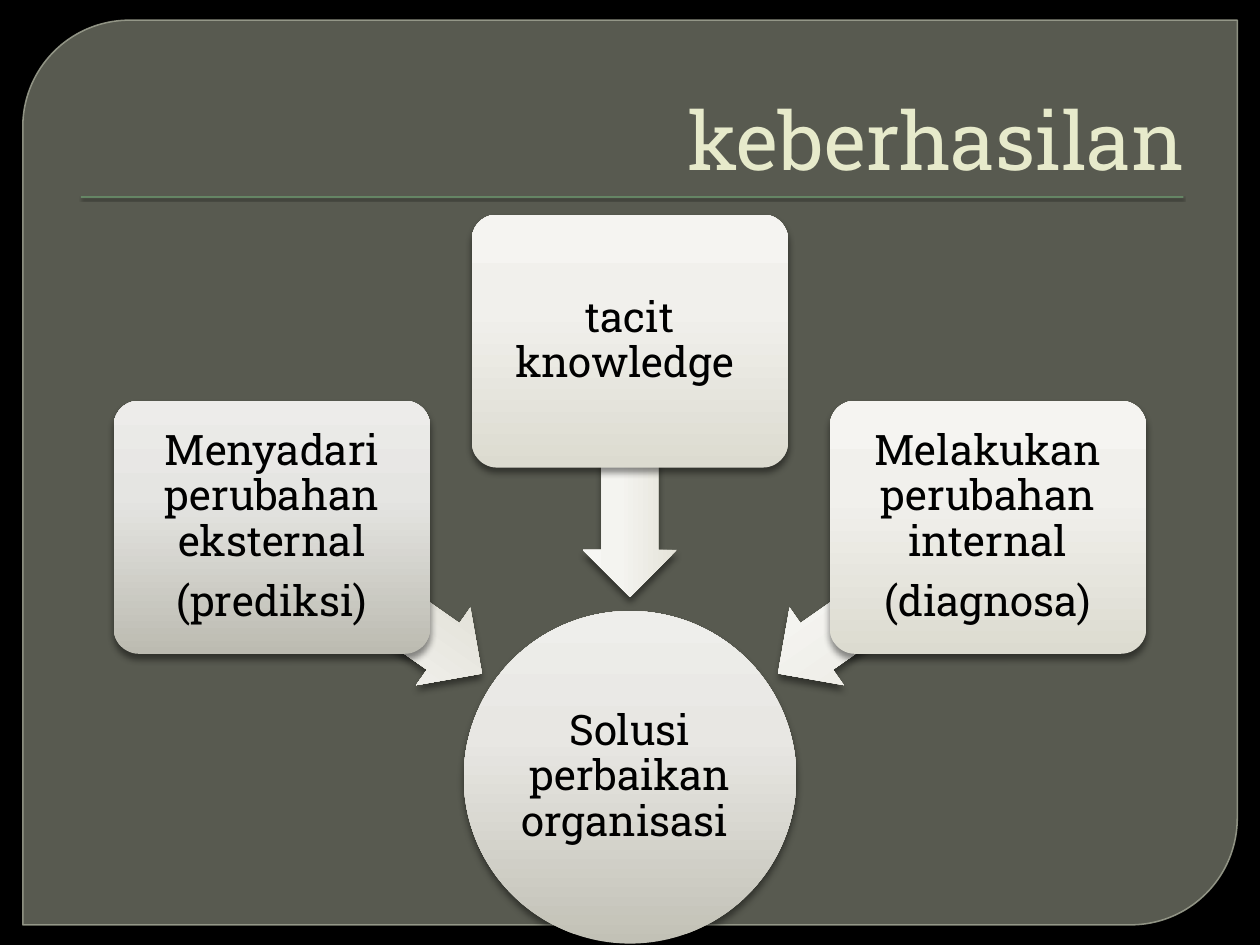
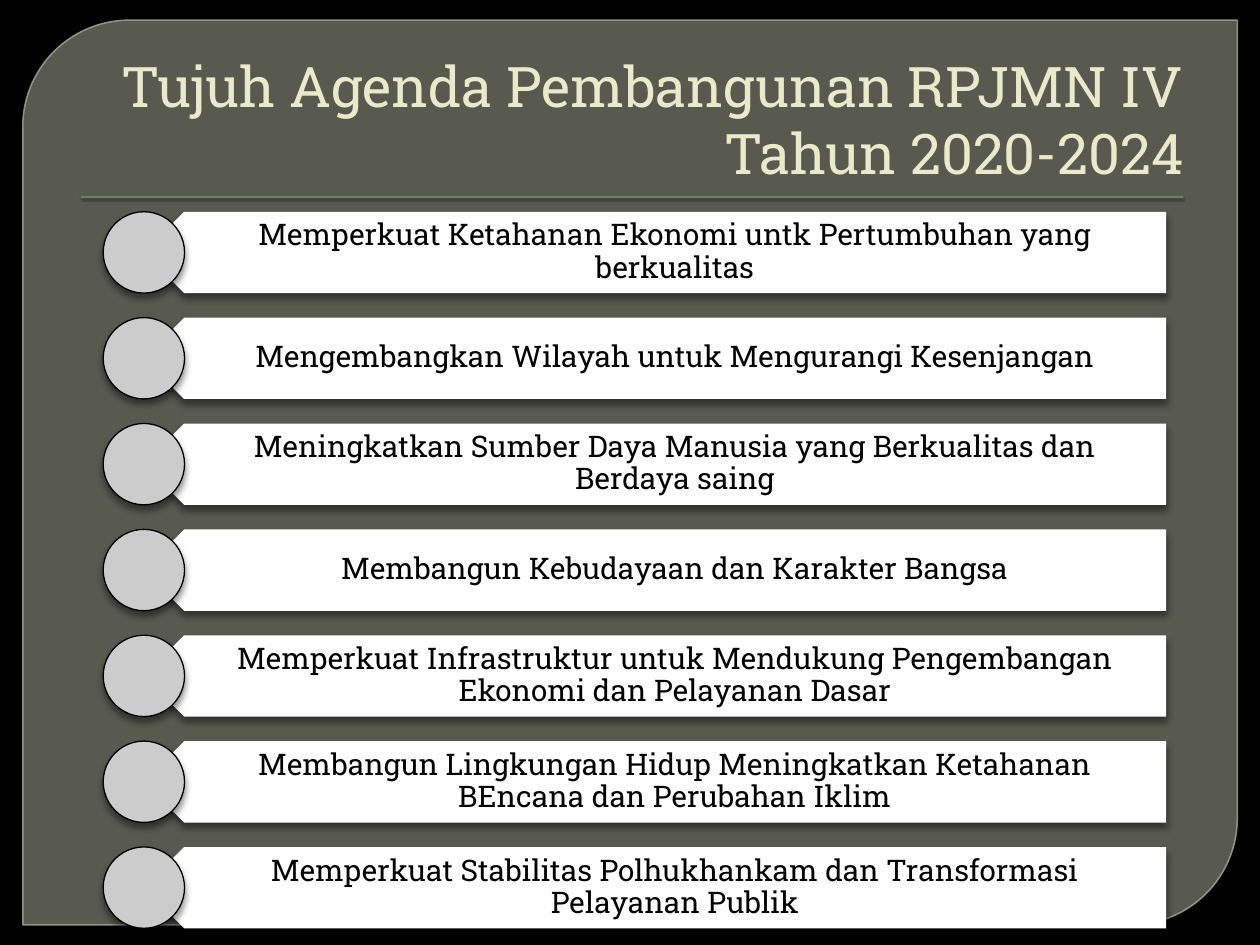
from lxml.etree import SubElement
from pptx import Presentation
from pptx.dml.color import RGBColor
from pptx.enum.shapes import MSO_SHAPE as Shape
from pptx.enum.text import MSO_ANCHOR as Anchor, MSO_AUTO_SIZE as AutoSize, PP_ALIGN as Align
from pptx.oxml.ns import qn
from pptx.util import Pt

FONT = "Roboto Slab"
BLACK, WHITE = "000000", "FFFFFF"
PANEL, PANEL_EDGE, RULE, TITLE = "888B7B", "9DA090", "72A376", "E7EACB"
BULLET = "CCCCCC"
SOFT_SHADOW = dict(alpha=43, blur=4, distance=3)
RULE_SHADOW = dict(alpha=75, blur=1, distance=1)

# Gradients run from the bottom edge (0 %) over 62 % to the top edge (100 %)
HUB = ("C2C1B6", "E8E7E3", "EEEEEB")
DARK_CARD, LIGHT_CARD = ("BCBBB1", "E5E5E2", "EDECEA"), ("DCDBD0", "F1F0EC", "F5F4F1")
DARK_ARROW, LIGHT_ARROW = ("D4D2C3", "EEEDE8", "F3F2EE"), ("E5E3D9", "F4F4F0", "F7F7F4")


def rgb(value):
    return RGBColor.from_string(value)


def set_alpha(color_parent, percent):
    color = color_parent.find(".//" + qn("a:srgbClr"))
    SubElement(color, qn("a:alpha")).set("val", str(percent * 1000))


def write(frame, text, size=24, color=BLACK, align=Align.CENTER, anchor=Anchor.MIDDLE,
          insets=(7.2, 3.6, 7.2, 3.6), line_spacing=0.9, after=0):
    frame.word_wrap = True
    frame.auto_size = AutoSize.NONE
    frame.vertical_anchor = anchor
    (frame.margin_left, frame.margin_top,
     frame.margin_right, frame.margin_bottom) = map(Pt, insets)
    frame.text = text
    for paragraph in frame.paragraphs:
        paragraph.alignment = align
        paragraph.line_spacing = line_spacing
        paragraph.space_before = Pt(0)
        paragraph.space_after = Pt(after)
        paragraph.font.name = FONT
        paragraph.font.size = Pt(size)
        paragraph.font.color.rgb = rgb(color)


class Deck:
    def __init__(self):
        self.file = Presentation()
        self.file.slide_width, self.file.slide_height = Pt(720), Pt(540)
        self.slide = None

    def new_slide(self, title, title_size):
        self.slide = self.file.slides.add_slide(self.file.slide_layouts[5])
        background = self.slide.background.fill
        background.solid()
        background.fore_color.rgb = rgb(BLACK)

        # Panel and rule
        panel = self.shape(Shape.ROUND_2_DIAG_RECTANGLE, 13, 11.5, 694, 517, PANEL,
                           adjust=(0.118, 0), line=(PANEL_EDGE, 0.87))
        properties = panel._element.spPr
        set_alpha(properties.find(qn("a:solidFill")), 65)
        set_alpha(properties.find(qn("a:ln")), 88)
        self.shape(Shape.RECTANGLE, 46.2, 112.2, 630, 0.8, RULE, shadow=RULE_SHADOW)

        # Title, brought in front of the panel
        heading = self.slide.shapes.title
        heading.left, heading.top, heading.width, heading.height = map(Pt, (36, 20, 648, 90))
        write(heading.text_frame, title, size=title_size, color=TITLE, align=Align.RIGHT,
              anchor=Anchor.BOTTOM, line_spacing=1)
        self.slide.shapes._spTree.append(heading._element)

    def shape(self, kind, left, top, width, height, fill, adjust=(), line=None,
              shadow=None, rotation=0):
        shape = self.slide.shapes.add_shape(kind, *map(Pt, (left, top, width, height)))
        for index, value in enumerate(adjust):
            shape.adjustments[index] = value
        shape.rotation = rotation
        if isinstance(fill, tuple):
            self.gradient(shape, fill)
        else:
            shape.fill.solid()
            shape.fill.fore_color.rgb = rgb(fill)
        if line:
            shape.line.color.rgb = rgb(line[0])
            shape.line.width = Pt(line[1])
        else:
            shape.line.fill.background()
        shape.shadow.inherit = False
        if shadow:
            self.drop_shadow(shape, **shadow)
        return shape

    def gradient(self, shape, colors):
        shape.fill.gradient()
        shape.fill.gradient_angle = 90
        stops = shape._element.spPr.find(".//" + qn("a:gsLst"))
        stops.clear()
        for position, color in zip((0, 62, 100), colors):
            stop = SubElement(stops, qn("a:gs"), pos=str(position * 1000))
            SubElement(stop, qn("a:srgbClr"), val=color)

    def drop_shadow(self, shape, alpha, blur, distance):
        effects = shape._element.spPr.find(qn("a:effectLst"))
        outer = SubElement(effects, qn("a:outerShdw"), blurRad=str(Pt(blur)),
                           dist=str(Pt(distance)), dir="5400000", rotWithShape="0")
        SubElement(outer, qn("a:srgbClr"), val=BLACK)
        set_alpha(outer, alpha)

    def label(self, text, left, top, width, height, **style):
        box = self.slide.shapes.add_textbox(*map(Pt, (left, top, width, height)))
        write(box.text_frame, text, **style)

    def arrow(self, center_x, center_y, rotation, fill):
        length, thickness = 146, 54
        self.shape(Shape.LEFT_ARROW, center_x - length / 2, center_y - thickness / 2,
                   length, thickness, fill, adjust=(0.6, 0.5), shadow=SOFT_SHADOW,
                   rotation=rotation)

    def card(self, kind, text, left, top, width, height, fill, inset, adjust=()):
        card = self.shape(kind, left, top, width, height, fill, adjust, shadow=SOFT_SHADOW)
        write(card.text_frame, text, insets=(inset,) * 4, after=8.4)

    def agenda_row(self, text, top):
        size = 46.5
        self.shape(Shape.PENTAGON, 82, top, 584.4, size, WHITE, shadow=SOFT_SHADOW, rotation=180)
        self.label(text, 93.6, top, 572.8, size, size=17, insets=(20.6, 5, 9.4, 5), after=6)
        self.shape(Shape.OVAL, 59, top, size, size, BULLET, line=(BLACK, 0.75),
                   shadow=SOFT_SHADOW)


def success_slide(deck):
    deck.new_slide("keberhasilan", 46)
    deck.card(Shape.OVAL, "Solusi perbaikan organisasi ", 265, 349.2, 190, 190, HUB, 1.5)

    # Factors, left to right, each with its arrow to the solution
    middle, spread, width, height = 360, 204.6, 180.8, 144.6
    factors = [
        ("Menyadari perubahan eksternal\n(prediksi)", 229, DARK_CARD,
         -144.4, 343, 215, DARK_ARROW),
        ("tacit knowledge ", 122.6, LIGHT_CARD, 0, 268.2, 270, LIGHT_ARROW),
        ("Melakukan perubahan internal\n(diagnosa)", 229, LIGHT_CARD,
         144.4, 343, 325, LIGHT_ARROW),
    ]
    for column, (text, top, fill, offset, arrow_y, turn, arrow_fill) in enumerate(factors, -1):
        deck.arrow(middle + offset, arrow_y, turn, arrow_fill)
        deck.card(Shape.ROUNDED_RECTANGLE, text, middle + column * spread - width / 2, top,
                  width, height, fill, 3.6, adjust=(0.1,))


def agenda_slide(deck):
    deck.new_slide("Tujuh Agenda Pembangunan RPJMN IV Tahun 2020-2024", 32)
    agenda = [
        "Memperkuat Ketahanan Ekonomi untk Pertumbuhan yang berkualitas",
        "Mengembangkan Wilayah untuk Mengurangi Kesenjangan",
        "Meningkatkan Sumber Daya Manusia yang Berkualitas dan Berdaya saing",
        "Membangun Kebudayaan dan Karakter Bangsa",
        "Memperkuat Infrastruktur untuk Mendukung Pengembangan Ekonomi dan Pelayanan Dasar",
        "Membangun Lingkungan Hidup Meningkatkan Ketahanan BEncana dan Perubahan Iklim",
        "Memperkuat Stabilitas Polhukhankam dan Transformasi Pelayanan Publik",
    ]
    for row, item in enumerate(agenda):
        deck.agenda_row(item, 121 + row * 60.5)


def main():
    deck = Deck()
    success_slide(deck)
    agenda_slide(deck)
    deck.file.save("out.pptx")


if __name__ == "__main__":
    main()
